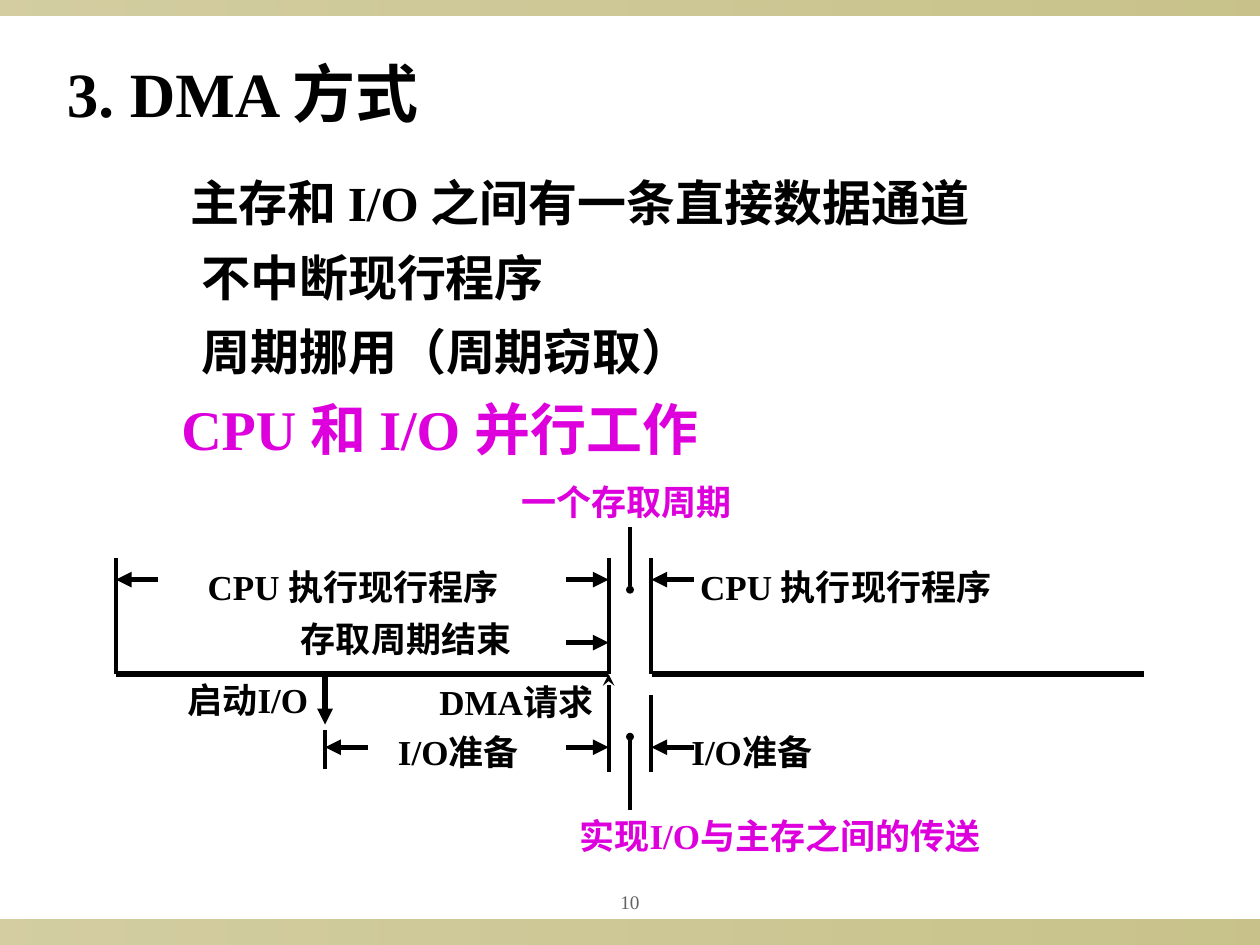
"""Build the slide on DMA transfers with its CPU and I/O timing diagram."""
from pptx import Presentation
from pptx.dml.color import RGBColor
from pptx.enum.lang import MSO_LANGUAGE_ID as Lang
from pptx.enum.shapes import MSO_CONNECTOR as Connector, MSO_SHAPE as Shape
from pptx.enum.text import MSO_ANCHOR as Anchor, MSO_AUTO_SIZE as AutoSize, PP_ALIGN as Align
from pptx.oxml.ns import qn
from pptx.util import Pt
from lxml.etree import SubElement

rgb = RGBColor.from_string
BLACK, MAGENTA, GREY, OLIVE = "000000", "DD00DD", "636363", "918415"


def write(holder, left, top, width, height, text, size, color=BLACK, bold=True):
    holder.left, holder.top, holder.width, holder.height = map(Pt, (left, top, width, height))
    frame = holder.text_frame
    frame.word_wrap = False
    frame.auto_size = AutoSize.SHAPE_TO_FIT_TEXT
    frame.vertical_anchor = Anchor.TOP
    paragraph = frame.paragraphs[0]
    paragraph.alignment = Align.LEFT
    run = paragraph.add_run()
    run.text = text
    font = run.font
    font.name, font.size, font.bold = "Times New Roman", Pt(size), bold
    font.color.rgb = rgb(color)
    font.language_id = Lang.SIMPLIFIED_CHINESE
    return frame


def draw_line(x1, y1, x2, y2, weight=2.25, end=None, marker="triangle", scale="med"):
    line = slide.shapes.add_connector(Connector.STRAIGHT, Pt(x1), Pt(y1), Pt(x2), Pt(y2))
    line.line.color.rgb = rgb(BLACK)
    line.line.width = Pt(weight)
    if end:
        SubElement(line.line._get_or_add_ln(), qn(f"a:{end}"), type=marker, w=scale, len=scale)
    SubElement(line._element.spPr, qn("a:effectLst"))


deck = Presentation()
deck.slide_width, deck.slide_height = Pt(720), Pt(540)
slide = deck.slides.add_slide(deck.slide_layouts[5])

for top, height in [(525.6, 14.4), (0, 8.64)]:
    band = slide.shapes.add_shape(Shape.RECTANGLE, 0, Pt(top), Pt(720), Pt(height))
    band.shadow.inherit = False
    band.line.fill.background()
    band.fill.gradient()
    band.fill.gradient_angle = 0
    for stop in band.fill.gradient_stops:
        stop.color.rgb = rgb(OLIVE)
    for tint, opacity in zip(band._element.spPr.iter(qn("a:srgbClr")), (40000, 50000)):
        SubElement(tint, qn("a:alpha"), val=str(opacity))

write(slide.shapes.title, 31, 27.4, 230, 50.4, "3. DMA 方式", 36)

page_number = write(slide.shapes.add_textbox(0, 0, 0, 0), 324, 504, 72, 22.3, "10", 11, GREY, False)
page_number.word_wrap = True
page_number.auto_size = AutoSize.NONE
page_number.vertical_anchor = Anchor.MIDDLE
page_number.paragraphs[0].alignment = Align.CENTER
page_number.margin_left = page_number.margin_right = Pt(3.6)

features = [
    (101.5, 95.3, 480, 41, "主存和 I/O 之间有一条直接数据通道", 28, BLACK),
    (108, 138, 216, 41, "不中断现行程序", 28, BLACK),
    (108, 180, 300, 41, "周期挪用（周期窃取）", 28, BLACK),
    (96.5, 221.8, 342, 46, "CPU 和 I/O 并行工作", 32, MAGENTA),
]
for feature in features:
    write(slide.shapes.add_textbox(0, 0, 0, 0), *feature)

START, IO_START, STEAL, MIDDLE, RESUME, END = 66.2, 185.8, 347.8, 360, 372.2, 653.8
CPU_TOP, CPU_ROW, AXIS, IO_ROW, IO_BOTTOM = 319, 331.2, 385.2, 427, 441.4
ARROW = 24.3

draw_line(START, AXIS, STEAL - 0.5, AXIS, 3)
draw_line(RESUME + 0.5, AXIS, END, AXIS, 3)
for x in (START, STEAL, RESUME):
    draw_line(x, CPU_TOP, x, AXIS)
draw_line(STEAL, AXIS, STEAL, IO_BOTTOM, end="headEnd", marker="stealth")
draw_line(RESUME, 397.4, RESUME, IO_BOTTOM)
draw_line(IO_START, 417, IO_START, 439.2)

arrows = [
    (START, CPU_ROW, 1), (STEAL, CPU_ROW, -1), (RESUME, CPU_ROW, 1), (STEAL, 367.2, -1),
    (IO_START, IO_ROW, 1), (STEAL, IO_ROW, -1), (RESUME, IO_ROW, 1),
]
for tip, row, side in arrows:
    draw_line(tip + side * ARROW, row, tip, row, 3, "tailEnd")
draw_line(IO_START, 384, IO_START, 414, 3, "tailEnd")
for outer, inner in [(301, 337), (463, 421)]:
    draw_line(MIDDLE, outer, MIDDLE, inner, end="tailEnd", marker="oval", scale="sm")

labels = [
    (164.9, 349.2, 140, "存取周期结束", BLACK),
    (111.6, 319.5, 196, "CPU 执行现行程序", BLACK),
    (393, 319.5, 196, "CPU 执行现行程序", BLACK),
    (244, 385.2, 114, "DMA请求", BLACK),
    (100, 384.2, 96, "启动I/O", BLACK),
    (220.3, 414, 96, "I/O准备", BLACK),
    (388, 414, 96, "I/O准备", BLACK),
    (290.9, 271, 140, "一个存取周期", MAGENTA),
    (324, 461.8, 264, "实现I/O与主存之间的传送", MAGENTA),
]
for left, top, width, text, color in labels:
    write(slide.shapes.add_textbox(0, 0, 0, 0), left, top, width, 31.7, text, 20, color)

deck.save("out.pptx")
